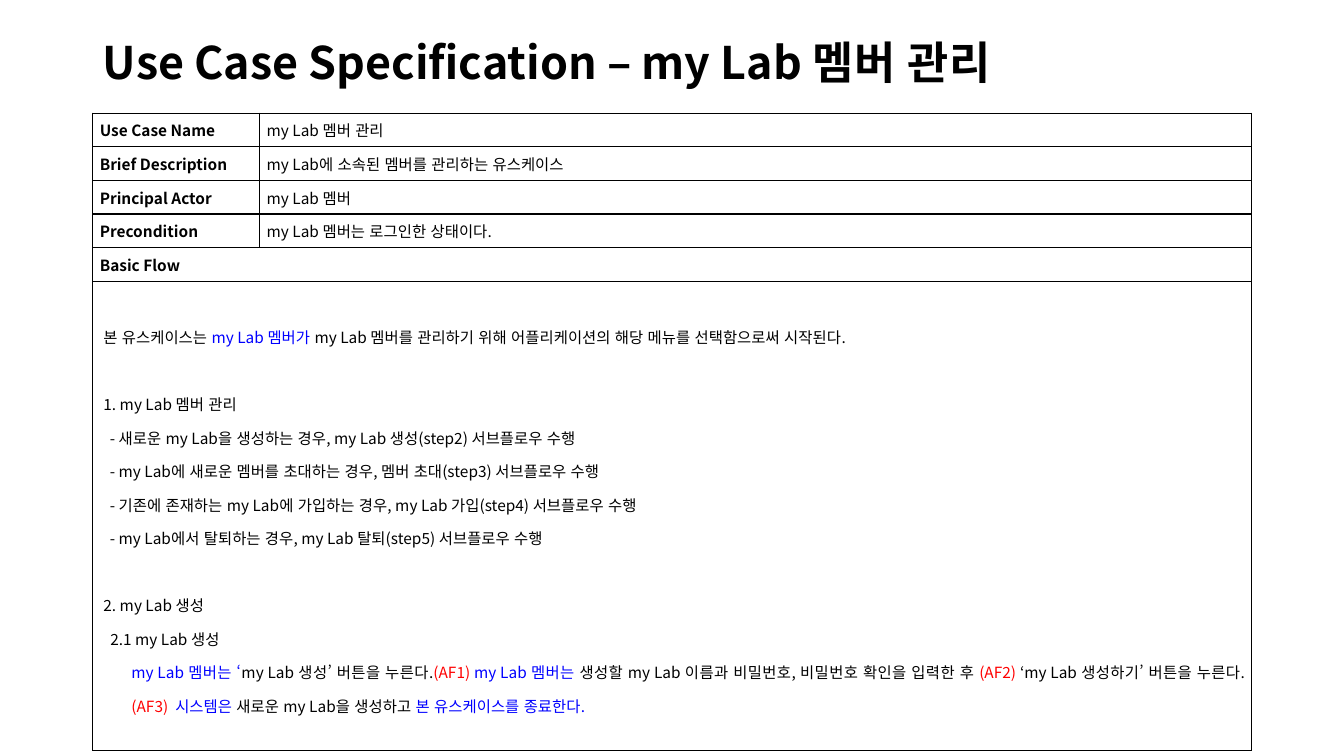
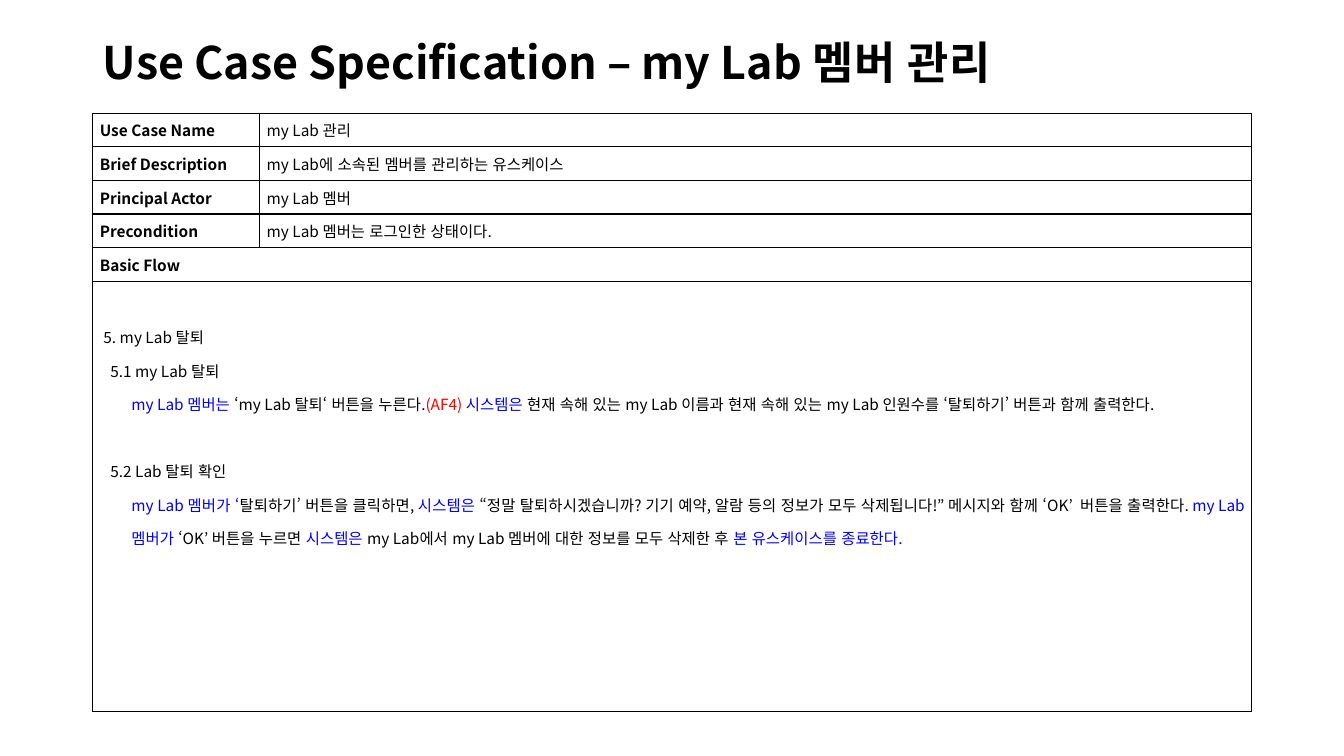
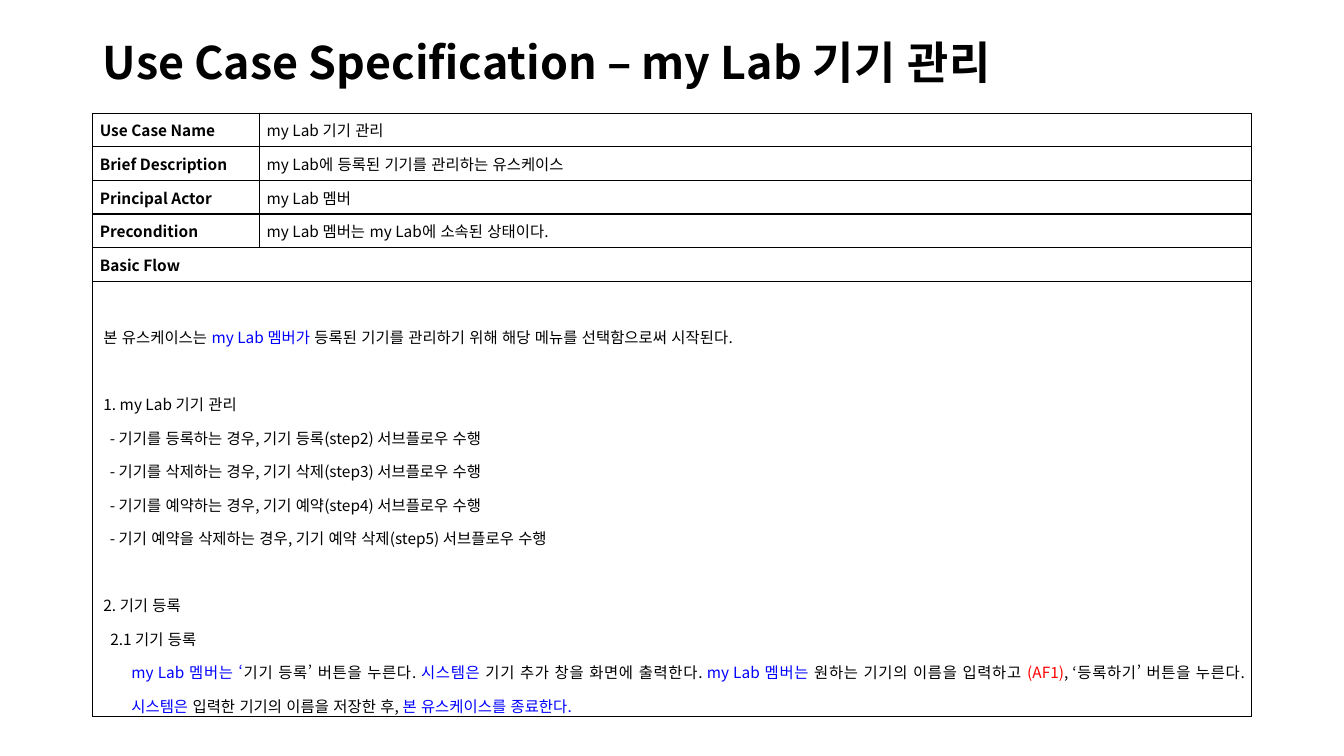
import dataclasses

import pptx
import pptx.dml.color
import pptx.enum.lang
import pptx.enum.text
import pptx.oxml
import pptx.oxml.ns
import pptx.util

Pt = pptx.util.Pt
ALIGN = pptx.enum.text.PP_ALIGN
ANCHOR = pptx.enum.text.MSO_ANCHOR


@dataclasses.dataclass(frozen=True)
class Theme:
    """Colours, type and measures (in points) shared by all slides."""
    font: str = "Noto Sans CJK KR"
    black: str = "000000"
    blue: str = "0000FF"
    red: str = "FF0000"
    head: float = 32
    body: float = 11
    left: float = 66.24
    width: float = 828
    top: float = 80.9
    label: float = 119.2
    row: float = 24
    pad: float = 5.04
    line: float = 23.9
    border: float = 1


THEME = Theme()
LABELS = ["Use Case Name", "Brief Description", "Principal Actor", "Precondition"]
INDENT = {"head": 2.6, "sub": 7.5, "item": 7.2, "text": 22.6}


def blue(text):
    """Mark a phrase that names an actor or an ending."""
    return text, THEME.blue


def red(text):
    """Mark a phrase that points to an alternative flow."""
    return text, THEME.red


def write(para, text, size=THEME.body, bold=False, color=THEME.black):
    """Add one formatted run to a paragraph."""
    run = para.add_run()
    run.text = text
    run.font.size, run.font.bold = Pt(size), bold
    run.font.color.rgb = pptx.dml.color.RGBColor.from_string(color)
    run.font.name = THEME.font
    run.font.language_id = pptx.enum.lang.MSO_LANGUAGE_ID.KOREAN
    east = pptx.oxml.parse_xml(
        f'<a:ea {pptx.oxml.ns.nsdecls("a")} typeface="{THEME.font}"/>')
    run.font._element.append(east)


class Deck:
    """Builds slides in one style and keeps the current one."""

    def __init__(self):
        """Start a wide presentation."""
        self.file = pptx.Presentation()
        self.file.slide_width, self.file.slide_height = Pt(960), Pt(540)
        self.slide = None

    def start(self, title):
        """Add a slide with its title."""
        self.slide = self.file.slides.add_slide(self.file.slide_layouts[5])
        box = self.slide.shapes.title
        box.left, box.top = Pt(THEME.left), Pt(28.2)
        box.width, box.height = Pt(THEME.width), Pt(36)
        frame = box.text_frame
        frame.auto_size = pptx.enum.text.MSO_AUTO_SIZE.NONE
        frame.vertical_anchor = ANCHOR.MIDDLE
        para = frame.paragraphs[0]
        para.alignment, para.line_spacing = ALIGN.LEFT, 0.9
        write(para, title, size=THEME.head, bold=True)

    def frame(self, cell):
        """Give a cell its margins, clear fill and borders."""
        cell.margin_left = cell.margin_right = Pt(THEME.pad)
        cell.margin_top = cell.margin_bottom = 0
        cell.fill.background()
        props = cell._tc.get_or_add_tcPr()
        for spot, side in enumerate("LRTB"):
            props.insert(spot, pptx.oxml.parse_xml(
                f'<a:ln{side} {pptx.oxml.ns.nsdecls("a")} w="{Pt(THEME.border)}">'
                f'<a:solidFill><a:srgbClr val="{THEME.black}"/></a:solidFill>'
                f'</a:ln{side}>'))

    def fact(self, cell, text, bold=False):
        """Fill a cell with one line of text."""
        cell.vertical_anchor = ANCHOR.MIDDLE
        para = cell.text_frame.paragraphs[0]
        para.alignment = ALIGN.JUSTIFY
        write(para, text, bold=bold)

    def flow(self, cell, steps):
        """Fill a cell with steps, each a kind, a gap in lines and runs."""
        cell.vertical_anchor = ANCHOR.TOP
        cell.margin_top = Pt(THEME.line)
        frame = cell.text_frame
        for count, (kind, gap, *runs) in enumerate(steps):
            para = frame.add_paragraph() if count else frame.paragraphs[0]
            para.alignment, para.line_spacing = ALIGN.JUSTIFY, 1.5
            para.space_before = Pt(gap * THEME.line)
            para._p.get_or_add_pPr().set("marL", str(Pt(INDENT[kind])))
            for run in runs:
                text, color = (run, THEME.black) if isinstance(run, str) else run
                write(para, text, color=color)

    def table(self, facts, steps, depth):
        """Add the use case table with a flow row of the given depth."""
        last = len(LABELS) + 1
        high = THEME.row * last + depth
        grid = self.slide.shapes.add_table(
            last + 1, 2, Pt(THEME.left), Pt(THEME.top),
            Pt(THEME.width), Pt(high)).table
        grid.first_row = grid.horz_banding = False
        grid.columns[0].width = Pt(THEME.label)
        grid.columns[1].width = Pt(THEME.width - THEME.label)
        for row in grid.rows:
            row.height = Pt(THEME.row)
        grid.rows[last].height = Pt(depth)
        for cell in grid.iter_cells():
            self.frame(cell)
        for row, (label, fact) in enumerate(zip(LABELS, facts)):
            self.fact(grid.cell(row, 0), label, bold=True)
            self.fact(grid.cell(row, 1), fact)
        for row in (last - 1, last):
            grid.cell(row, 0).merge(grid.cell(row, 1))
        self.fact(grid.cell(last - 1, 0), "Basic Flow", bold=True)
        self.flow(grid.cell(last, 0), steps)


MEMBER = "my Lab 멤버"
END = blue("본 유스케이스를 종료한다.")
CARE = "my Lab에 소속된 멤버를 관리하는 유스케이스"
LOGIN = "my Lab 멤버는 로그인한 상태이다."

PAGES = [
    ("멤버 관리", ["my Lab 멤버 관리", CARE, MEMBER, LOGIN], 335, [
        ("head", 0, "본 유스케이스는 ", blue("my Lab 멤버가 "),
         "my Lab 멤버를 관리하기 위해 어플리케이션의 해당 메뉴를 선택함으로써 시작된다."),
        ("head", 1, "1. my Lab 멤버 관리"),
        ("item", 0, "- 새로운 my Lab을 생성하는 경우, my Lab 생성(step2) 서브플로우 수행"),
        ("item", 0, "- my Lab에 새로운 멤버를 초대하는 경우, 멤버 초대(step3) 서브플로우 수행"),
        ("item", 0, "- 기존에 존재하는 my Lab에 가입하는 경우, my Lab 가입(step4) 서브플로우 수행"),
        ("item", 0, "- my Lab에서 탈퇴하는 경우, my Lab 탈퇴(step5) 서브플로우 수행"),
        ("head", 1, "2. my Lab 생성"),
        ("sub", 0, "2.1 my Lab 생성"),
        ("text", 0, blue("my Lab 멤버는 ‘"), "my Lab 생성’ 버튼을 누른다.", red("(AF1) "),
         blue("my Lab 멤버는"), " 생성할 my Lab 이름과 비밀번호, 비밀번호 확인을 입력한 후 ",
         red("(AF2) "), "‘my Lab 생성하기’ 버튼을 누른다. ", red("(AF3)  "),
         blue("시스템은"), " 새로운 my Lab을 생성하고 ", END),
    ]),
    ("멤버 관리", ["my Lab 관리", CARE, MEMBER, LOGIN], 307.5, [
        ("head", 0, "5. my Lab 탈퇴"),
        ("sub", 0, "5.1 my Lab 탈퇴"),
        ("text", 0, blue("my Lab 멤버는 "), "‘my Lab 탈퇴‘ 버튼을 누른다.", red("(AF4) "),
         blue("시스템은 "), "현재 속해 있는 my Lab 이름과 현재 속해 있는 my Lab 인원수를 "
         "‘탈퇴하기’ 버튼과 함께 출력한다."),
        ("sub", 1, "5.2 Lab 탈퇴 확인"),
        ("text", 0, blue("my Lab 멤버가 ‘"), "탈퇴하기’ 버튼을 클릭하면, ", blue("시스템은 "),
         "“정말 탈퇴하시겠습니까? 기기 예약, 알람 등의 정보가 모두 삭제됩니다!” 메시지와 함께 "
         "‘OK’  버튼을 출력한다. ", blue("my Lab 멤버가 "), "‘OK’ 버튼을 누르면 ",
         blue("시스템은 "), "my Lab에서 my Lab 멤버에 대한 정보를 모두 삭제한 후 ", END),
    ]),
    ("기기 관리", ["my Lab 기기 관리", "my Lab에 등록된 기기를 관리하는 유스케이스", MEMBER,
               "my Lab 멤버는 my Lab에 소속된 상태이다."], 307.5, [
        ("head", 0, "본 유스케이스는 ", blue("my Lab 멤버가"),
         " 등록된 기기를 관리하기 위해 해당 메뉴를 선택함으로써 시작된다."),
        ("head", 1, "1. my Lab 기기 관리"),
        ("item", 0, "- 기기를 등록하는 경우, 기기 등록(step2) 서브플로우 수행"),
        ("item", 0, "- 기기를 삭제하는 경우, 기기 삭제(step3) 서브플로우 수행"),
        ("item", 0, "- 기기를 예약하는 경우, 기기 예약(step4) 서브플로우 수행"),
        ("item", 0, "- 기기 예약을 삭제하는 경우, 기기 예약 삭제(step5) 서브플로우 수행"),
        ("head", 1, "2. 기기 등록"),
        ("sub", 0, "2.1 기기 등록"),
        ("text", 0, blue("my Lab 멤버는 ‘"), "기기 등록’ 버튼을 누른다. ", blue("시스템은"),
         " 기기 추가 창을 화면에 출력한다. ", blue("my Lab 멤버는 "),
         "원하는 기기의 이름을 입력하고 ", red("(AF1)"), ", ‘등록하기’ 버튼을 누른다. ",
         blue("시스템은"), " 입력한 기기의 이름을 저장한 후, ", END),
    ]),
]

deck = Deck()
for topic, facts, depth, steps in PAGES:
    deck.start(f"Use Case Specification – my Lab {topic}")
    deck.table(facts, steps, depth)
deck.file.save("out.pptx")
